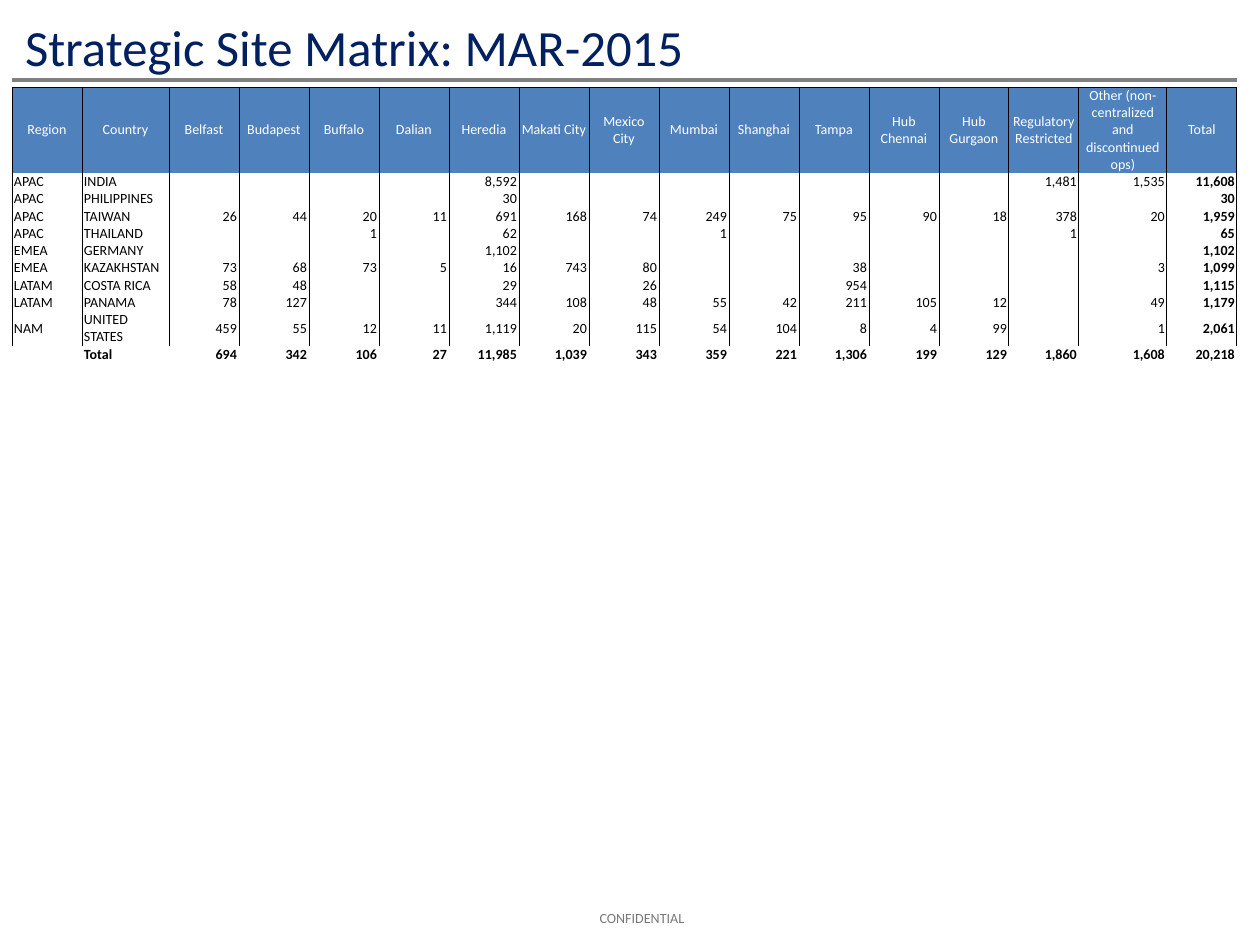
from dataclasses import dataclass

from lxml.etree import SubElement
from pptx import Presentation
from pptx.dml.color import RGBColor
from pptx.enum.text import MSO_ANCHOR, PP_ALIGN
from pptx.oxml.ns import qn
from pptx.util import Emu, Pt

PIXEL = 914400 // 126


@dataclass(frozen=True)
class Theme:
    font: str = "Calibri"
    title_size: int = 29
    small_size: int = 8
    navy: str = "002060"
    blue: str = "4F81BD"
    white: str = "FFFFFF"
    black: str = "000000"
    rule: str = "808080"
    muted: str = "787878"
    border_width: float = 0.5
    rule_width: float = 2


def px(value):
    return Emu(value * PIXEL)


def write(cell, text, *, font, size, color, bold=False,
          align=PP_ALIGN.LEFT, anchor=MSO_ANCHOR.TOP, margin=0):
    """Put one formatted paragraph into a table cell."""
    cell.vertical_anchor = anchor
    cell.margin_left = cell.margin_right = px(margin)
    cell.margin_top = cell.margin_bottom = 0
    para = cell.text_frame.paragraphs[0]
    para.alignment = align
    if text:
        span = para.add_run()
        span.text = text
        span.font.name = font
        span.font.size = Pt(size)
        span.font.bold = bold
        span.font.color.rgb = RGBColor.from_string(color)
    else:
        # An empty cell keeps the small type size, so its row stays low
        SubElement(para._p, qn("a:endParaRPr"), sz=str(size * 100))


def set_borders(cell, sides, color, width):
    """Draw the named sides of a cell (L, R, T, B) and clear the others."""
    properties = cell._tc.get_or_add_tcPr()
    for index, side in enumerate("LRTB"):
        line = properties.makeelement(qn(f"a:ln{side}"), {"w": str(Pt(width))})
        if side in sides:
            fill = SubElement(line, qn("a:solidFill"))
            SubElement(fill, qn("a:srgbClr"), val=color)
        else:
            SubElement(line, qn("a:noFill"))
        properties.insert(index, line)


class SlideBuilder:
    ROW_HEIGHT = 4  # least height; rows grow to fit their text

    def __init__(self, page, theme):
        self.page = page
        self.theme = theme

    def grid(self, row_count, left, top, widths):
        grid = self.page.shapes.add_table(
            row_count, len(widths), px(left), px(top),
            px(sum(widths)), px(self.ROW_HEIGHT * row_count)).table
        grid.first_row = grid.horz_banding = False
        for column, width in zip(grid.columns, widths):
            column.width = px(width)
        return grid

    def band(self, text, left, top, width, sides="", **style):
        """A one-cell table across the page, with an optional rule."""
        cell = self.grid(1, left, top, [width]).cell(0, 0)
        write(cell, text, font=self.theme.font, margin=13, **style)
        cell.fill.background()
        set_borders(cell, sides, self.theme.rule, self.theme.rule_width)

    def matrix(self, rows, left, top, widths):
        grid = self.grid(len(rows), left, top, widths)
        for r, values in enumerate(rows):
            for c, value in enumerate(values):
                self.matrix_cell(grid.cell(r, c), value, r, c, len(rows), len(widths))

    def matrix_cell(self, cell, value, r, c, row_count, column_count):
        theme = self.theme
        header, total = r == 0, r == row_count - 1
        if header:
            align, sides = PP_ALIGN.CENTER, "LRTB"
        else:
            align = PP_ALIGN.LEFT if c < 2 else PP_ALIGN.RIGHT
            sides = "" if total else "LR"
        write(cell, value, font=theme.font, size=theme.small_size,
              color=theme.white if header else theme.black,
              bold=total or (not header and c == column_count - 1),
              align=align, anchor=MSO_ANCHOR.MIDDLE, margin=2)
        if header:
            cell.fill.solid()
            cell.fill.fore_color.rgb = RGBColor.from_string(theme.blue)
        else:
            cell.fill.background()
        set_borders(cell, sides, theme.black, theme.border_width)


# Site matrix: one line per row, cells parted by bars
MATRIX = """\
Region|Country|Belfast|Budapest|Buffalo|Dalian|Heredia|Makati City|Mexico City|Mumbai|Shanghai|Tampa|Hub Chennai|Hub Gurgaon|Regulatory Restricted|Other (non-centralized and discontinued ops)|Total
APAC|INDIA|||||8,592||||||||1,481|1,535|11,608
APAC|PHILIPPINES|||||30||||||||||30
APAC|TAIWAN|26|44|20|11|691|168|74|249|75|95|90|18|378|20|1,959
APAC|THAILAND|||1||62|||1|||||1||65
EMEA|GERMANY|||||1,102||||||||||1,102
EMEA|KAZAKHSTAN|73|68|73|5|16|743|80|||38||||3|1,099
LATAM|COSTA RICA|58|48|||29||26|||954|||||1,115
LATAM|PANAMA|78|127|||344|108|48|55|42|211|105|12||49|1,179
NAM|UNITED STATES|459|55|12|11|1,119|20|115|54|104|8|4|99||1|2,061
|Total|694|342|106|27|11,985|1,039|343|359|221|1,306|199|129|1,860|1,608|20,218"""
matrix_rows = [line.split("|") for line in MATRIX.splitlines()]
WIDE_COLUMNS = {1: 87, 15: 88}
column_widths = [WIDE_COLUMNS.get(c, 70) for c in range(len(matrix_rows[0]))]

theme = Theme()
deck = Presentation()
deck.slide_width, deck.slide_height = px(1260), px(945)
builder = SlideBuilder(deck.slides.add_slide(deck.slide_layouts[6]), theme)

# Site matrix
builder.matrix(matrix_rows, 12, 87, column_widths)

# Heading with its rule, and footer
builder.band("Strategic Site Matrix: MAR-2015", 12, 18, 1225, sides="B",
             size=theme.title_size, color=theme.navy)
builder.band("CONFIDENTIAL", 12, 910, 1260, size=theme.small_size,
             color=theme.muted, align=PP_ALIGN.CENTER)

deck.save("out.pptx")
